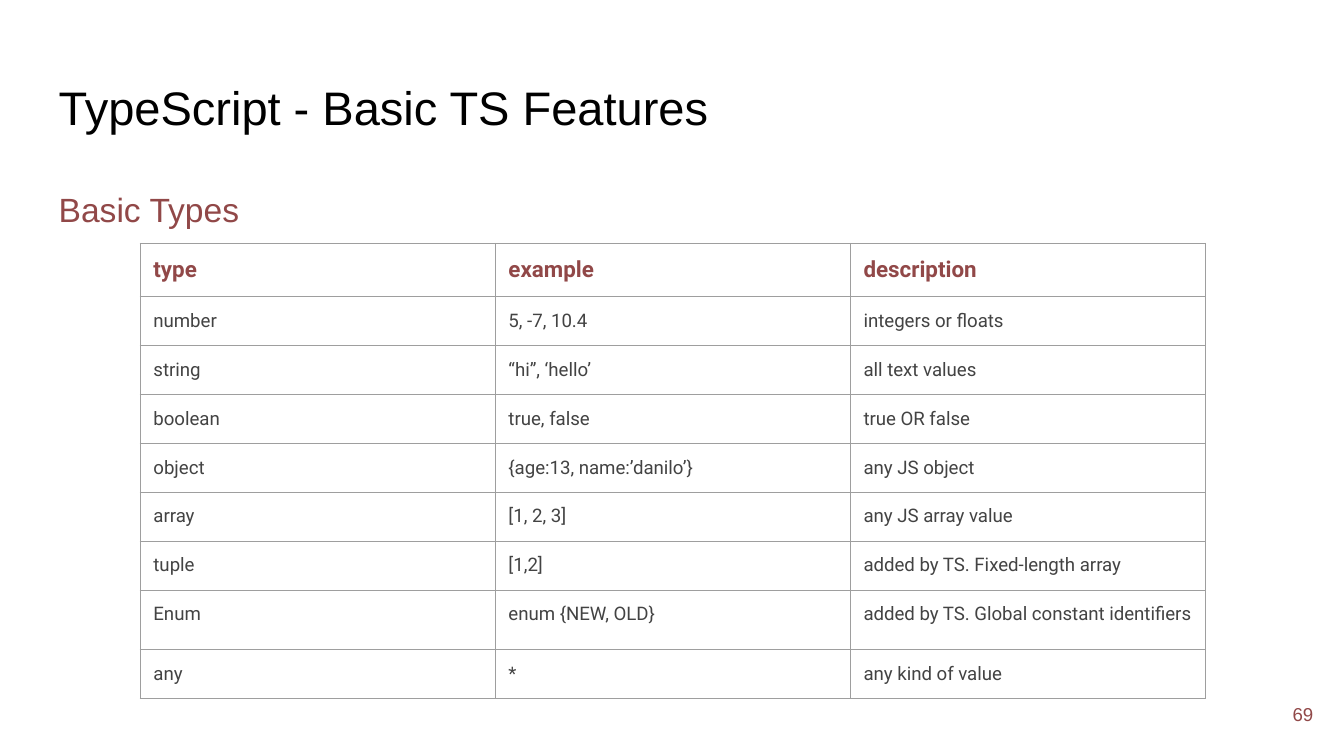
from lxml import etree
from pptx import Presentation
from pptx import util as u
from pptx.dml.color import RGBColor
from pptx.enum import text
from pptx.oxml import ns

COLORS = {"title": "000000", "accent": "914848", "body": "434343",
          "border": "9E9E9E", "page": "FFFFFF"}

HEADINGS = [
    {"words": "TypeScript - Basic TS Features", "at": (0.86, 1.24, 23.67, 1.6),
     "font": {"name": "Arial", "size": u.Pt(25.2)}, "color": "title", "format": {}},
    {"words": "Basic Types", "at": (0.86, 3.2, 23.67, 3.94),
     "font": {"name": "Arial", "size": u.Pt(18)}, "color": "accent",
     "format": {"line_spacing": 1.15}},
    {"words": "69", "at": (23.55, 12.95, 1.52, 1.09),
     "font": {"name": "Arial", "size": u.Pt(10)}, "color": "accent",
     "format": {"alignment": text.PP_ALIGN.RIGHT}, "anchor": text.MSO_ANCHOR.MIDDLE},
]

TYPES = [
    ("type", "example", "description"),
    ("number", "5, -7, 10.4", "integers or floats"),
    ("string", "“hi”, ‘hello’", "all text values"),
    ("boolean", "true, false", "true OR false"),
    ("object", "{age:13, name:’danilo’}", "any JS object"),
    ("array", "[1, 2, 3]", "any JS array value"),
    ("tuple", "[1,2]", "added by TS. Fixed-length array"),
    ("Enum", "enum {NEW, OLD}", "added by TS. Global constant identifiers"),
    ("any", "*", "any kind of value"),
]
HEADER_FONT = {"name": "Roboto", "size": u.Pt(12), "bold": True}
ENTRY_FONT = {"name": "Roboto", "size": u.Pt(10), "bold": False}
TABLE_LEFT, TABLE_TOP, COLUMN_WIDTH = 2.65, 4.6, 6.71
ROW_HEIGHT, SPECIAL_HEIGHTS = 0.86, {"type": 0.66, "Enum": 1.12}
INSET = u.Cm(0.25)
MARGINS = {f"margin_{side}": INSET for side in ("left", "top", "right", "bottom")}


def apply(target, values):
    for key, value in values.items():
        setattr(target, key, value)


def write(frame, words, font, color, paragraph_format):
    line = frame.paragraphs[0]
    apply(line, paragraph_format)
    run = line.add_run()
    run.text = words
    apply(run.font, font)
    run.font.color.rgb = RGBColor.from_string(COLORS[color])


def add_borders(cell):
    properties = cell._tc.get_or_add_tcPr()
    for position, side in enumerate(("lnL", "lnR", "lnT", "lnB")):
        border = etree.Element(ns.qn(f"a:{side}"), w=str(u.Pt(0.75)))
        fill = etree.SubElement(border, ns.qn("a:solidFill"))
        etree.SubElement(fill, ns.qn("a:srgbClr"), val=COLORS["border"])
        properties.insert(position, border)


deck = Presentation()
apply(deck, {"slide_width": u.Cm(25.4), "slide_height": u.Cm(14.29)})
slide = deck.slides.add_slide(deck.slide_layouts[6])
slide.background.fill.solid()
slide.background.fill.fore_color.rgb = RGBColor.from_string(COLORS["page"])

for heading in HEADINGS:
    frame = slide.shapes.add_textbox(*map(u.Cm, heading["at"])).text_frame
    apply(frame, {**MARGINS, "word_wrap": True,
                  "vertical_anchor": heading.get("anchor", text.MSO_ANCHOR.TOP)})
    write(frame, heading["words"], heading["font"], heading["color"], heading["format"])

heights = [SPECIAL_HEIGHTS.get(entry[0], ROW_HEIGHT) for entry in TYPES]
column_count = len(TYPES[0])
type_table = slide.shapes.add_table(
    len(TYPES), column_count, u.Cm(TABLE_LEFT), u.Cm(TABLE_TOP),
    u.Cm(COLUMN_WIDTH * column_count), u.Cm(sum(heights))).table
apply(type_table, {"first_row": False, "horz_banding": False})
for column in type_table.columns:
    column.width = u.Cm(COLUMN_WIDTH)
for row, height in zip(type_table.rows, heights):
    row.height = u.Cm(height)

for row_index, entry in enumerate(TYPES):
    font, color = (ENTRY_FONT, "body") if row_index else (HEADER_FONT, "accent")
    for column_index, words in enumerate(entry):
        cell = type_table.cell(row_index, column_index)
        apply(cell, MARGINS)
        cell.fill.background()
        add_borders(cell)
        write(cell.text_frame, words, font, color, {})

deck.save("out.pptx")
